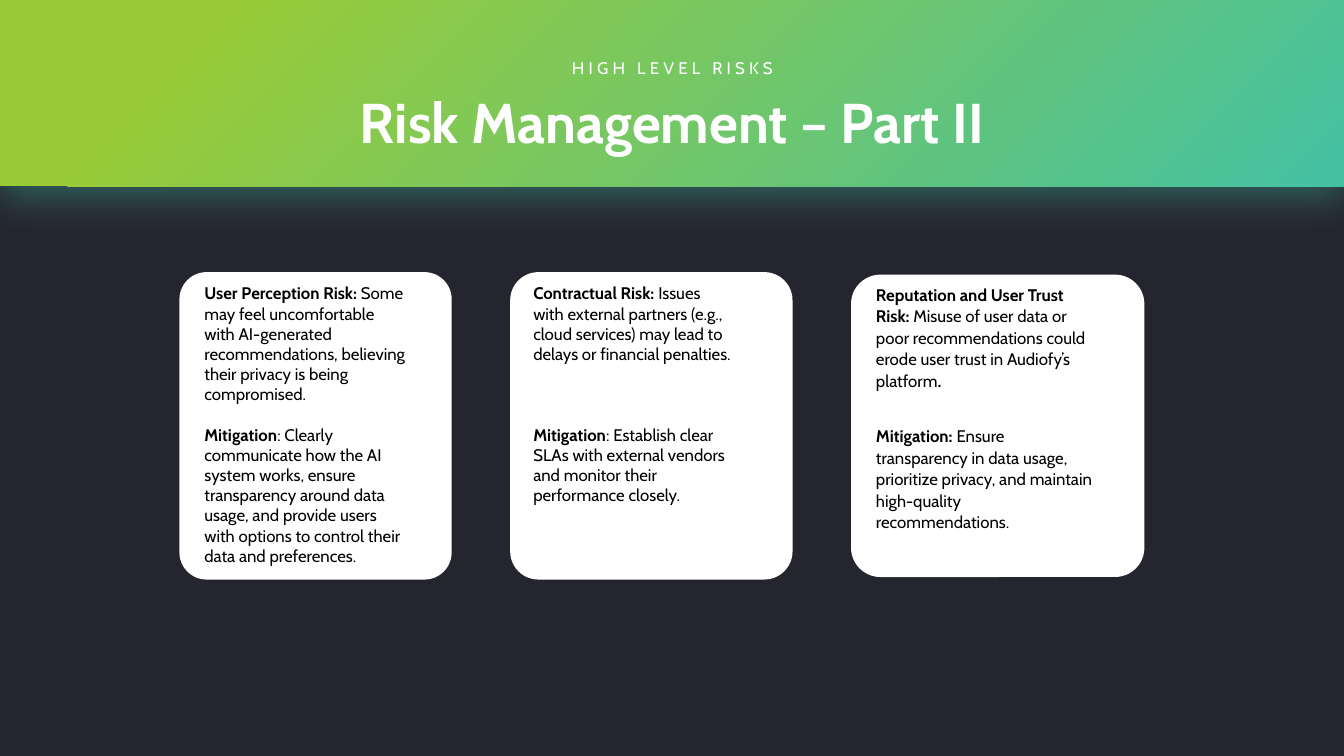
from dataclasses import dataclass

from lxml import etree
from pptx import Presentation
from pptx import util as u
from pptx.dml.color import RGBColor
from pptx.enum import shapes, text
from pptx.oxml import ns, parse_xml

HEADING = "Risk Management – Part II"
KICKER = "HIGH LEVEL RISKS"
CARDS = [
    {
        "width": 20.26, "height": 40.67, "pad": 1.12, "text": (16.65, 39.07),
        "spacing": {"space_before": u.Pt(14.5)},
        "paragraphs": [
            [("User Perception Risk: ", True),
             ("Some may feel uncomfortable with AI-generated recommendations, "
              "believing their privacy is being compromised.", False)],
            [("Mitigation", True),
             (": Clearly communicate how the AI system works, ensure transparency "
              "around data usage, and provide users with options to control their "
              "data and preferences.", False)],
        ],
    },
    {
        "width": 21.01, "height": 40.67, "pad": 0.98, "text": (16.2, 30.93),
        "spacing": {"space_before": u.Pt(43.5)},
        "paragraphs": [
            [("Contractual Risk:", True),
             (" Issues with external partners (e.g., cloud services) may lead to "
              "delays or financial penalties.", False)],
            [("Mitigation", True),
             (": Establish clear SLAs with external vendors and monitor their "
              "performance closely.", False)],
        ],
    },
    {
        "width": 21.83, "height": 40, "pad": 1.12, "text": (17.93, 33.87),
        "spacing": {"space_before": u.Pt(12), "space_after": u.Pt(12),
                    "line_spacing": 1.07},
        "paragraphs": [
            [("Reputation and User Trust Risk: ", True),
             ("Misuse of user data or poor recommendations could erode user trust "
              "in Audiofy’s platform", False),
             (".", True)],
            [("Mitigation:", True),
             (" Ensure transparency in data usage, prioritize privacy, and maintain "
              "high-quality recommendations.", False)],
        ],
    },
]

BAND = (0, 0, 100, 24.67)
TITLE = (12.53, 10.93, 74.94, 10.27)
SUBTITLE = (31.43, 6.93, 37.21, 4)
CARD_LEFT, CARD_GAP, CARD_MIDDLE, TEXT_TOP = 13.35, 4.35, 56.33, 36.8


@dataclass(frozen=True)
class Theme:
    font: str = "Cabin"
    ground: str = "252530"
    light: str = "FFFFFF"
    dark: str = "000000"
    teal: str = "44C1A3"
    lime: str = "99CB38"
    title: int = 40
    body: int = 12
    tracking: int = 300
    corner: float = 0.1


THEME = Theme()
deck = Presentation()
deck.slide_width, deck.slide_height = u.Inches(13.33), u.Inches(7.5)


def place(left, top, width, height):
    sizes = (deck.slide_width, deck.slide_height) * 2
    return [round(size * share / 100)
            for size, share in zip(sizes, (left, top, width, height))]


def apply(target, formats):
    for name, value in formats.items():
        setattr(target, name, value)


def add_shape(page, kind, area, color):
    shape = page.shapes.add_shape(kind, *place(*area))
    shape.shadow.inherit = False
    shape.fill.solid()
    shape.fill.fore_color.rgb = RGBColor.from_string(color)
    shape.line.fill.background()
    return shape


def write(box, paragraphs, color, size=THEME.body, align=text.PP_ALIGN.LEFT, spacing=None):
    frame = box.text_frame
    apply(frame, {"word_wrap": True, "auto_size": text.MSO_AUTO_SIZE.NONE,
                  "vertical_anchor": text.MSO_ANCHOR.TOP})
    for index, spans in enumerate(paragraphs):
        para = frame.add_paragraph() if index else frame.paragraphs[0]
        formats = dict(spacing or {})
        if index == 0:
            formats.pop("space_before", None)
        apply(para, {"alignment": align, **formats})
        for words, bold in spans:
            span = para.add_run()
            span.text = words
            apply(span.font, {"name": THEME.font, "size": u.Pt(size), "bold": bold})
            span.font.color.rgb = RGBColor.from_string(color)


def add_text(page, area, *content, **formats):
    box = page.shapes.add_textbox(*place(*area))
    write(box, *content, **formats)
    return box


def add_band(page):
    band = add_shape(page, shapes.MSO_SHAPE.RECTANGLE, BAND, THEME.teal)
    properties = band.element.spPr
    gradient = parse_xml(
        f'<a:gradFill {ns.nsdecls("a")} rotWithShape="1"><a:gsLst>'
        f'<a:gs pos="0"><a:srgbClr val="{THEME.teal}"/></a:gs>'
        f'<a:gs pos="85000"><a:srgbClr val="{THEME.lime}"/></a:gs></a:gsLst>'
        '<a:path path="circle"><a:fillToRect l="100000" t="100000"/></a:path>'
        '</a:gradFill>')
    properties.replace(properties.find(ns.qn("a:solidFill")), gradient)
    shadow = etree.SubElement(
        properties.find(ns.qn("a:effectLst")), ns.qn("a:outerShdw"),
        blurRad=str(u.Pt(29)), dist=str(u.Pt(7)), dir="5400000",
        algn="t", rotWithShape="0")
    glow = etree.SubElement(shadow, ns.qn("a:srgbClr"), val=THEME.teal)
    etree.SubElement(glow, ns.qn("a:alpha"), val="40000")
    return band


def add_header(page):
    band = add_band(page)
    title = page.shapes.title
    band.element.addnext(title.element)
    apply(title, dict(zip(("left", "top", "width", "height"), place(*TITLE))))
    center = text.PP_ALIGN.CENTER
    write(title, [[(HEADING, True)]], THEME.light, THEME.title, center)
    kicker = add_text(page, SUBTITLE, [[(KICKER, False)]], THEME.light, align=center)
    for span in kicker.text_frame.paragraphs[0].runs:
        span.font._element.set("spc", str(THEME.tracking))


def add_cards(page):
    left = CARD_LEFT
    for card in CARDS:
        width, height = card["width"], card["height"]
        panel = add_shape(page, shapes.MSO_SHAPE.ROUNDED_RECTANGLE,
                          (left, CARD_MIDDLE - height / 2, width, height), THEME.light)
        panel.adjustments[0] = THEME.corner
        add_text(page, (left + card["pad"], TEXT_TOP, *card["text"]),
                 card["paragraphs"], THEME.dark, spacing=card["spacing"])
        left += width + CARD_GAP


def main():
    page = deck.slides.add_slide(deck.slide_layouts.get_by_name("Title Only"))
    page.background.fill.solid()
    page.background.fill.fore_color.rgb = RGBColor.from_string(THEME.ground)
    add_header(page)
    add_cards(page)
    deck.save("out.pptx")


if __name__ == "__main__":
    main()
